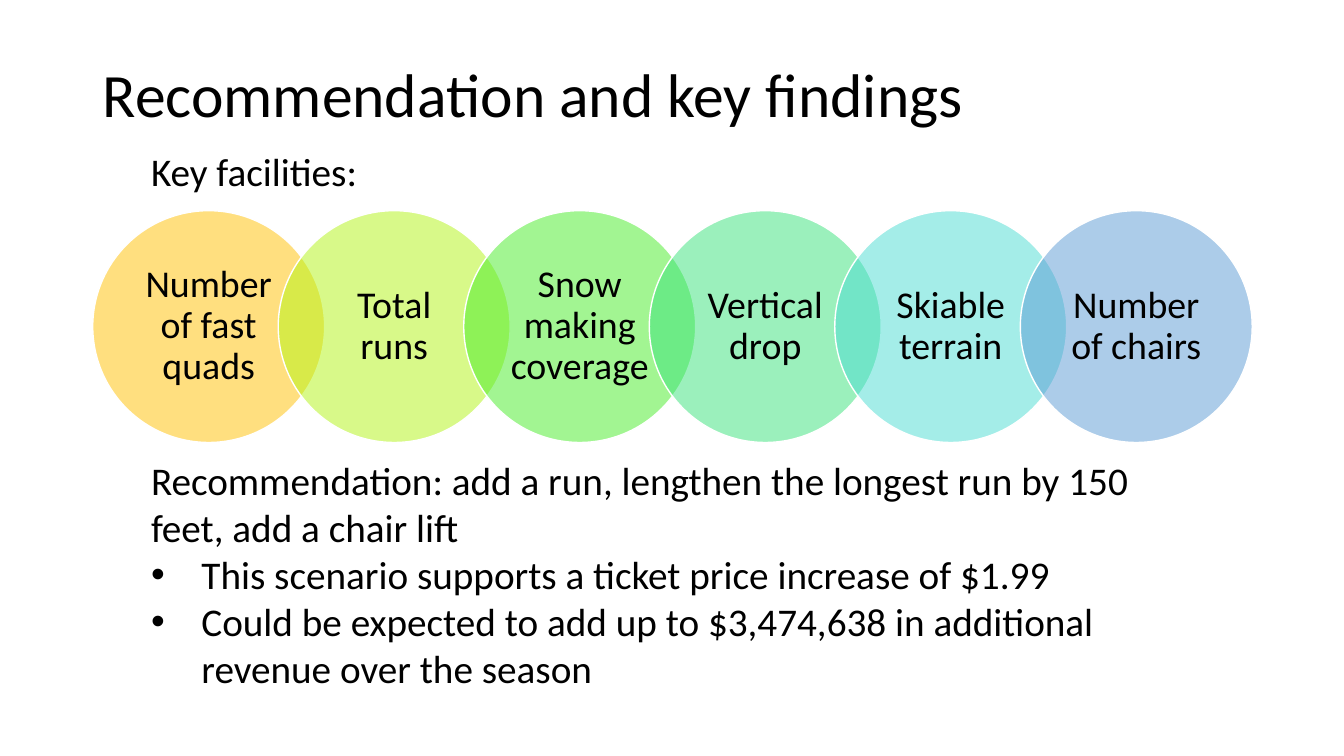
from dataclasses import dataclass

from lxml import etree
from pptx import Presentation
from pptx import util as u
from pptx.dml.color import RGBColor
from pptx.enum import shapes, text
from pptx.oxml.ns import qn

PX = 9144


@dataclass(frozen=True)
class Theme:
    font: str = "Calibri"
    ink: str = "000000"
    outline: str = "FFFFFF"
    circles: tuple = ("FFC000", "B2F514", "46EC27", "39E37B", "4ADCD2", "5B9BD5")
    alpha: int = 50
    title: int = 44
    body: int = 28
    label: int = 27


THEME = Theme()
FACILITIES = ("Number of fast quads", "Total runs", "Snow making coverage",
              "Vertical drop", "Skiable terrain", "Number of chairs")


def px(*lengths):
    return [u.Emu(n * PX) for n in lengths]


def style(p, size, spacing=None, align=text.PP_ALIGN.LEFT):
    p.font.name = THEME.font
    p.font.size = u.Pt(size)
    p.font.color.rgb = RGBColor.from_string(THEME.ink)
    p.alignment = align
    p.line_spacing = spacing


def add_bullet(p, indent):
    pPr = p._p.get_or_add_pPr()
    pPr.set("marL", str(indent * PX))
    pPr.set("indent", str(-indent * PX))
    font = etree.Element(qn("a:buFont"), typeface="Arial")
    mark = etree.Element(qn("a:buChar"), char="•")
    defaults = pPr.find(qn("a:defRPr"))
    defaults.addprevious(font)
    defaults.addprevious(mark)


def add_text(slide, box, lines, size, spacing=None, anchor=text.MSO_ANCHOR.TOP):
    tf = slide.shapes.add_textbox(*px(*box)).text_frame
    tf.word_wrap = True
    tf.vertical_anchor = anchor
    for i, line in enumerate(lines):
        p = tf.add_paragraph() if i else tf.paragraphs[0]
        p.text = line
        style(p, size, spacing)
    return tf


def add_circle(slide, box, label, color):
    sp = slide.shapes.add_shape(shapes.MSO_SHAPE.OVAL, *px(*box))
    sp.shadow.inherit = False
    sp.fill.solid()
    sp.fill.fore_color.rgb = RGBColor.from_string(color)
    clr = sp._element.spPr.find(qn("a:solidFill"))[0]
    etree.SubElement(clr, qn("a:alpha"), val=str(THEME.alpha * 1000))
    sp.line.color.rgb = RGBColor.from_string(THEME.outline)
    sp.line.width = u.Pt(1)
    tf = sp.text_frame
    tf.word_wrap = True
    tf.vertical_anchor = text.MSO_ANCHOR.MIDDLE
    tf.margin_left, tf.margin_right, tf.margin_top, tf.margin_bottom = px(12, 12, 4, 4)
    p = tf.paragraphs[0]
    p.text = label
    style(p, THEME.label, 0.9, text.PP_ALIGN.CENTER)


def add_facilities(slide, box):
    left, top, width, size = box
    step = (width - size) // (len(FACILITIES) - 1)
    for i, (label, color) in enumerate(zip(FACILITIES, THEME.circles)):
        add_circle(slide, (left + i * step, top, size, size), label, color)


def add_recommendation(slide, box):
    tf = add_text(slide, box, (
        "Recommendation: add a run, lengthen the longest run by 150 feet, add a chair lift",
        "This scenario supports a ticket price increase of $1.99",
        "Could be expected to add up to $3,474,638 in additional revenue over the season",
    ), THEME.body)
    for p in tf.paragraphs[1:]:
        add_bullet(p, 50)


def add_findings_slide(prs):
    slide = prs.slides.add_slide(prs.slide_layouts[6])
    add_text(slide, (92, 24, 1150, 145), ["Recommendation and key findings"],
             THEME.title, 0.9, text.MSO_ANCHOR.MIDDLE)
    add_facilities(slide, (92, 209, 1150, 230))
    add_recommendation(slide, (140, 448, 1016, 246))
    add_text(slide, (140, 141, 1016, 57), ["Key facilities:"], THEME.body)


def main():
    prs = Presentation()
    prs.slide_width, prs.slide_height = px(1333, 750)
    add_findings_slide(prs)
    prs.save("out.pptx")


if __name__ == "__main__":
    main()
